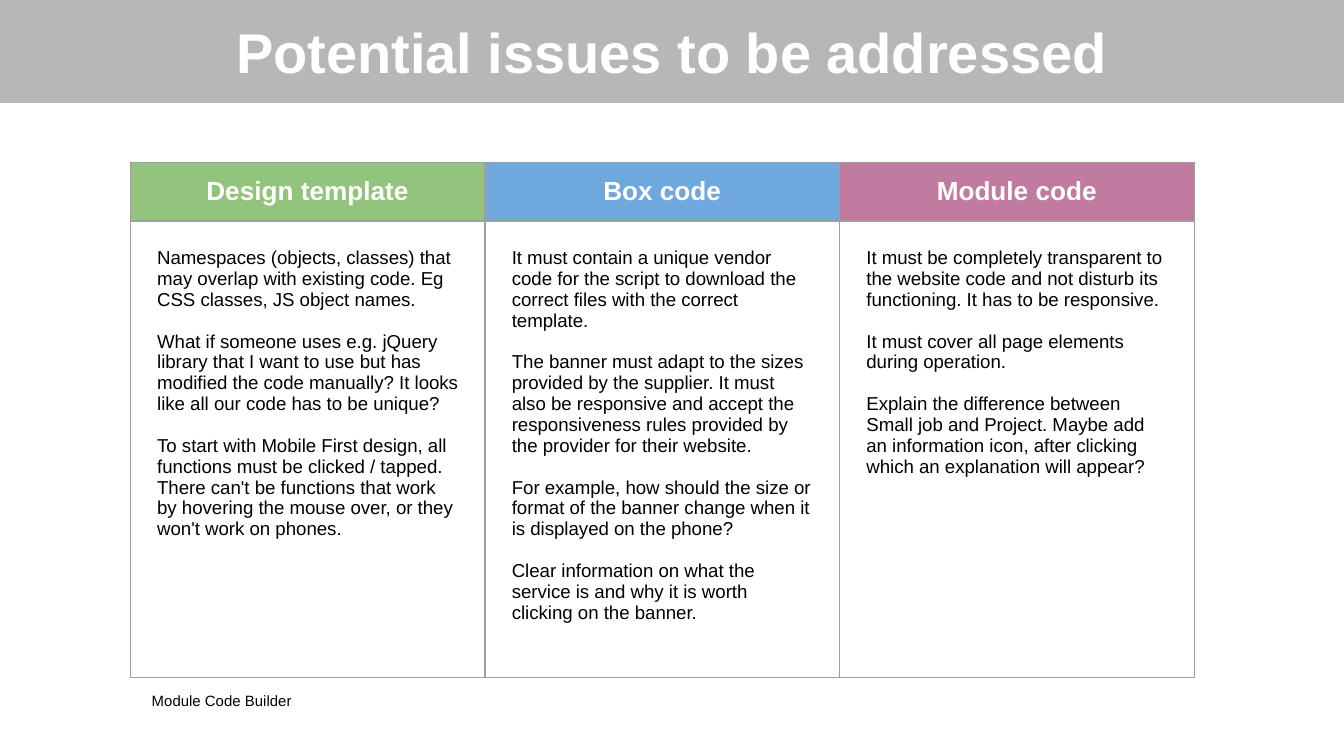
from lxml.etree import SubElement
from pptx import Presentation
from pptx.dml.color import RGBColor
from pptx.enum.shapes import MSO_SHAPE
from pptx.enum.text import MSO_ANCHOR, PP_ALIGN
from pptx.oxml.ns import qn
from pptx.util import Pt

COLORS = {
    "banner": "B7B7B7", "border": "9E9E9E", "white": "FFFFFF", "black": "000000",
    "green": "93C47D", "blue": "6FA8DC", "pink": "C27BA0",
}
ISSUES = [
    ("Design template", "green", [
        "Namespaces (objects, classes) that may overlap with existing code. Eg CSS classes, JS object names.",
        "What if someone uses e.g. jQuery library that I want to use but has modified the code manually? "
        "It looks like all our code has to be unique?",
        "To start with Mobile First design, all functions must be clicked / tapped. "
        "There can't be functions that work by hovering the mouse over, or they won't work on phones.",
    ]),
    ("Box code", "blue", [
        "It must contain a unique vendor code for the script to download the correct files with the correct template.",
        "The banner must adapt to the sizes provided by the supplier. It must also be responsive "
        "and accept the responsiveness rules provided by the provider for their website.",
        "For example, how should the size or format of the banner change when it is displayed on the phone?",
        "Clear information on what the service is and why it is worth clicking on the banner.",
    ]),
    ("Module code", "pink", [
        "It must be completely transparent to the website code and not disturb its functioning. "
        "It has to be responsive.",
        "It must cover all page elements during operation.",
        "Explain the difference between Small job and Project. Maybe add an information icon, "
        "after clicking which an explanation will appear?",
    ]),
]


def write(frame, text, size, color, bold=False, align=PP_ALIGN.LEFT, gap=0):
    frame.word_wrap = True
    frame.text = text
    for index, paragraph in enumerate(frame.paragraphs):
        paragraph.alignment = align
        if index:
            paragraph.space_before = Pt(gap)
        for run in paragraph.runs:
            run.font.name = "Arial"
            run.font.size = Pt(size)
            run.font.bold = bold
            run.font.color.rgb = RGBColor.from_string(COLORS[color])


def set_cell(cell, margin, anchor):
    cell.margin_left = cell.margin_right = cell.margin_top = cell.margin_bottom = Pt(margin)
    cell.vertical_anchor = anchor
    properties = cell._tc.get_or_add_tcPr()
    for position, side in enumerate(("lnL", "lnR", "lnT", "lnB")):
        line = SubElement(properties, qn(f"a:{side}"), w=str(Pt(0.75)))
        fill = SubElement(line, qn("a:solidFill"))
        SubElement(fill, qn("a:srgbClr"), val=COLORS["border"])
        properties.insert(position, line)


presentation = Presentation()
presentation.slide_width = Pt(720)
presentation.slide_height = Pt(405)
slide = presentation.slides.add_slide(presentation.slide_layouts[6])

footer = slide.shapes.add_textbox(Pt(74.2), Pt(365.8), Pt(131.8), Pt(24.5)).text_frame
footer.margin_left = footer.margin_right = footer.margin_top = footer.margin_bottom = Pt(7.2)
write(footer, "Module Code Builder", 8, "black")

banner = slide.shapes.add_shape(MSO_SHAPE.RECTANGLE, 0, 0, Pt(720), Pt(54.7))
banner.shadow.inherit = False
banner.fill.solid()
banner.fill.fore_color.rgb = RGBColor.from_string(COLORS["banner"])
banner.line.color.rgb = RGBColor.from_string(COLORS["banner"])
banner.line.width = Pt(0.75)
title = banner.text_frame
title.vertical_anchor = MSO_ANCHOR.MIDDLE
title.margin_left = title.margin_right = title.margin_top = title.margin_bottom = Pt(7.2)
write(title, "Potential issues to be addressed", 30, "white", True, PP_ALIGN.CENTER)

issues_table = slide.shapes.add_table(2, 3, Pt(69.8), Pt(87.1), Pt(570), Pt(275.8)).table
issues_table.first_row = False
issues_table.horz_banding = False
issues_table.rows[0].height = Pt(31.2)
issues_table.rows[1].height = Pt(244.6)

for column, (heading, color, issues) in enumerate(ISSUES):
    issues_table.columns[column].width = Pt(190)
    heading_cell = issues_table.cell(0, column)
    heading_cell.fill.solid()
    heading_cell.fill.fore_color.rgb = RGBColor.from_string(COLORS[color])
    set_cell(heading_cell, 7.2, MSO_ANCHOR.MIDDLE)
    write(heading_cell.text_frame, heading, 14, "white", True, PP_ALIGN.CENTER)

    issues_cell = issues_table.cell(1, column)
    issues_cell.fill.background()
    set_cell(issues_cell, 14.4, MSO_ANCHOR.TOP)
    write(issues_cell.text_frame, "\n".join(issues), 10, "black", gap=11.2)

presentation.save("out.pptx")
